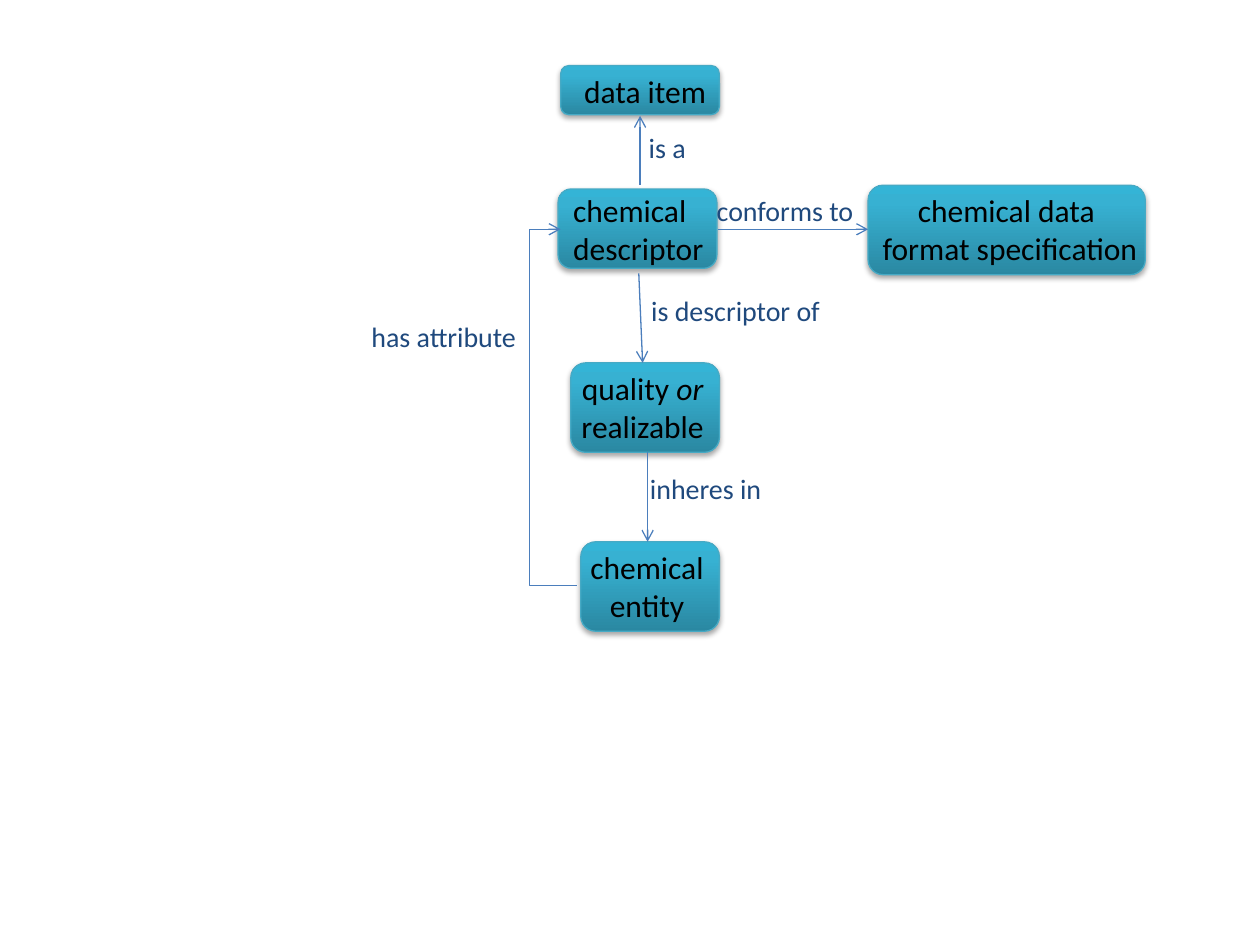
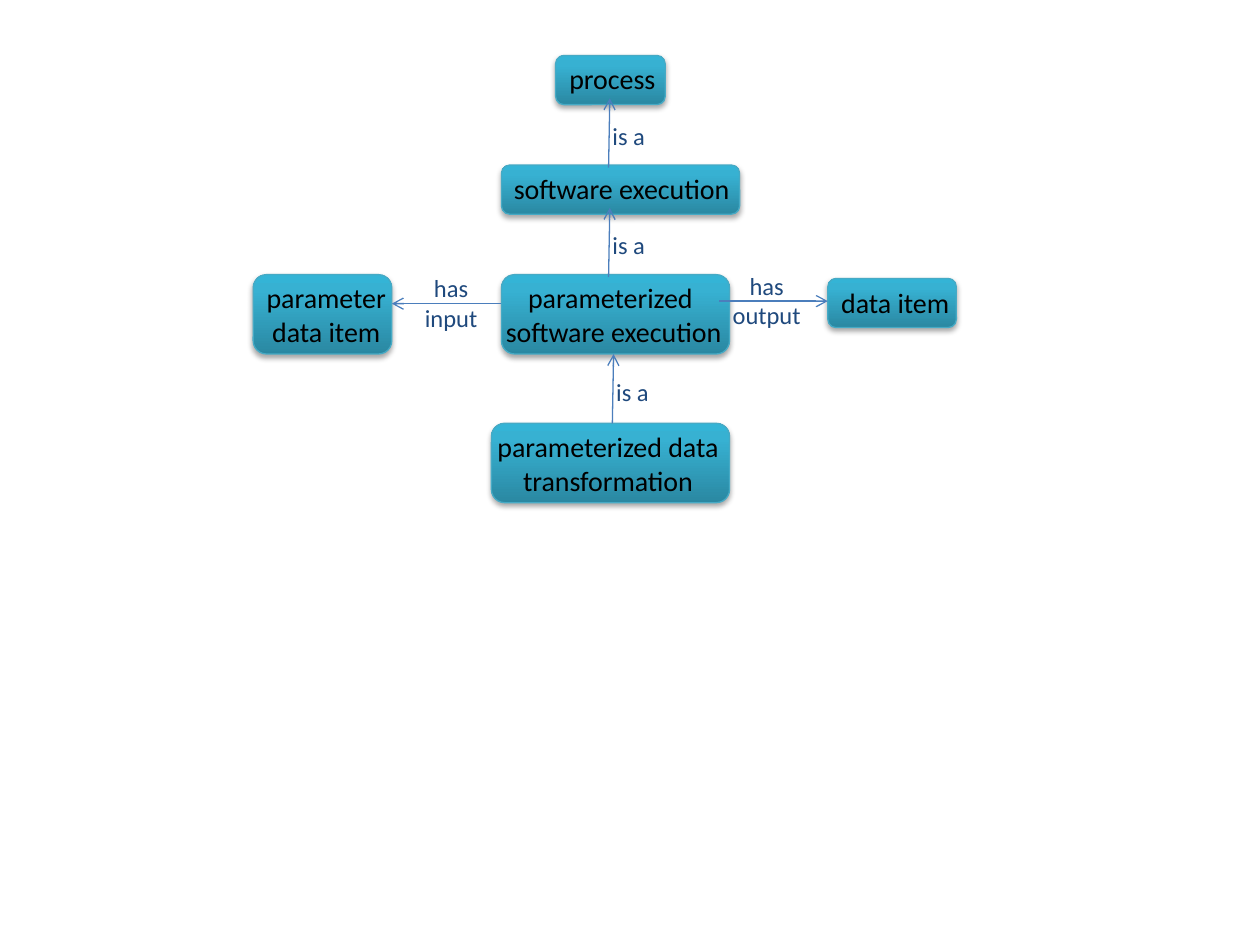
from copy import deepcopy
from dataclasses import dataclass

from lxml.etree import SubElement
from pptx import Presentation
from pptx.dml.color import RGBColor
from pptx.enum.shapes import MSO_CONNECTOR, MSO_SHAPE
from pptx.enum.text import MSO_AUTO_SIZE, PP_ALIGN
from pptx.oxml.ns import qn
from pptx.util import Inches, Pt

LEFT, CENTER = PP_ALIGN.LEFT, PP_ALIGN.CENTER


@dataclass(frozen=True)
class Theme:
    """Colours, font and type sizes of the diagrams."""
    font: str = "Calibri"
    node_text: str = "000000"
    label_text: str = "1F497D"
    border: str = "46AAC5"
    arrow: str = "4B7EBC"
    shadow: str = "000000"
    gradient: tuple = ((0, "2A88A2"), (0.8, "37B1D2"), (1, "34B4D6"))
    line_width: float = 0.75


def apply(obj, values):
    """Set each named attribute of an object."""
    for name, value in values.items():
        setattr(obj, name, value)


class Diagram:
    """Draws boxes, labels and arrows on the current slide."""

    def __init__(self, prs, theme):
        """Keep the presentation and its theme."""
        self.prs, self.theme = prs, theme

    def new_slide(self, node_size, label_size, label_align):
        """Start a blank slide with its type sizes."""
        self.s = self.prs.slides.add_slide(self.prs.slide_layouts[6])
        self.node_size, self.label_size = node_size, label_size
        self.label_align = label_align

    def outline(self, sp, color):
        """Give a shape or connector its thin line."""
        sp.line.color.rgb = RGBColor.from_string(color)
        sp.line.width = Pt(self.theme.line_width)

    def effects(self, sp):
        """Add an empty effect list and return it."""
        return SubElement(sp._element.spPr, qn("a:effectLst"))

    def box(self, at):
        """Draw a rounded box with gradient and soft shadow."""
        sp = self.s.shapes.add_shape(MSO_SHAPE.ROUNDED_RECTANGLE, *map(Inches, at))
        sp.fill.gradient()
        sp.fill.gradient_angle = 90
        stops = sp._element.spPr.find(".//" + qn("a:gsLst"))
        stops.append(deepcopy(stops[-1]))
        for stop, (position, color) in zip(sp.fill.gradient_stops, self.theme.gradient):
            stop.position = position
            stop.color.rgb = RGBColor.from_string(color)
        self.outline(sp, self.theme.border)
        shadow = SubElement(self.effects(sp), qn("a:outerShdw"), blurRad=str(Pt(3.15)),
                            dist=str(Pt(1.8)), dir="5400000", rotWithShape="0")
        color = SubElement(shadow, qn("a:srgbClr"), val=self.theme.shadow)
        SubElement(color, qn("a:alpha"), val="35000")

    def text(self, lines, at, size, color, aligns):
        """Write one paragraph a line, with *stars* around italics."""
        tf = self.s.shapes.add_textbox(*map(Inches, at)).text_frame
        apply(tf, {"word_wrap": False, "auto_size": MSO_AUTO_SIZE.SHAPE_TO_FIT_TEXT})
        for i, (line, align) in enumerate(zip(lines, aligns)):
            p = tf.add_paragraph() if i else tf.paragraphs[0]
            p.alignment = align
            for j, part in enumerate(line.split("*")):
                if part:
                    r = p.add_run()
                    r.text = part
                    apply(r.font, {"name": self.theme.font, "size": Pt(size),
                                   "italic": j % 2 == 1})
                    r.font.color.rgb = RGBColor.from_string(color)

    def node(self, text, box, caption, first=CENTER):
        """Draw a box and its caption."""
        self.box(box)
        self.text(text.split("\n"), caption, self.node_size, self.theme.node_text,
                  (first, CENTER))

    def label(self, text, at):
        """Name a relation beside its arrow."""
        self.text(text.split("\n"), at, self.label_size, self.theme.label_text,
                  (self.label_align,) * 2)

    def arrow(self, start, end, via_x=None):
        """Draw a straight arrow, or a bent one by way of via_x."""
        kind = MSO_CONNECTOR.STRAIGHT if via_x is None else MSO_CONNECTOR.ELBOW
        cxn = self.s.shapes.add_connector(kind, *map(Inches, start + end))
        self.outline(cxn, self.theme.arrow)
        SubElement(cxn.line._get_or_add_ln(), qn("a:tailEnd"), type="arrow")
        self.effects(cxn)
        if via_x is not None:
            bend = round((via_x - start[0]) / (end[0] - start[0]) * 100000)
            guides = cxn._element.spPr.find(".//" + qn("a:avLst"))
            SubElement(guides, qn("a:gd"), name="adj1", fmla=f"val {bend}")


def descriptor_slide(d):
    """Relate a chemical descriptor to its entity."""
    d.new_slide(18, 16, LEFT)
    d.node("chemical\nentity", (4.61, 4.3, 1.1, 0.71), (4.58, 4.3, 1.11, 0.71))
    d.node("quality *or*\nrealizable", (4.53, 2.88, 1.18, 0.71), (4.51, 2.88, 1.18, 0.71))
    d.node("chemical data \nformat specification", (6.89, 1.47, 2.2, 0.71),
           (6.89, 1.47, 2.25, 0.71))
    d.node("data item", (4.45, 0.52, 1.26, 0.39), (4.53, 0.52, 1.18, 0.4))
    d.node("chemical\ndescriptor", (4.43, 1.5, 1.26, 0.63), (4.45, 1.47, 1.25, 0.71), LEFT)
    for text, x, y, width in (("inheres in", 5.06, 3.69, 1.09),
                              ("is descriptor of", 5.07, 2.28, 1.56),
                              ("has attribute", 2.85, 2.49, 1.37),
                              ("conforms to", 5.59, 1.49, 1.3),
                              ("is a", 5.05, 0.99, 0.5)):
        d.label(text, (x, y, width, 0.37))
    d.arrow((4.58, 4.65), (4.45, 1.82), via_x=4.2)
    for start, end in (((5.7, 1.82), (6.89, 1.82)), ((5.07, 2.17), (5.1, 2.88)),
                       ((5.14, 3.59), (5.14, 4.3)), ((5.08, 1.47), (5.08, 0.92))):
        d.arrow(start, end)


def execution_slide(d):
    """Relate a parameterized execution to its data."""
    d.new_slide(16, 14, CENTER)
    d.node("parameterized data\ntransformation", (3.9, 3.36, 1.89, 0.63),
           (3.85, 3.36, 2.03, 0.64), LEFT)
    d.node("parameter\ndata item", (2.01, 2.18, 1.1, 0.63), (2.01, 2.18, 1.16, 0.64))
    d.node("data item", (6.57, 2.21, 1.02, 0.39), (6.57, 2.22, 1.07, 0.37))
    d.node("parameterized \nsoftware execution", (3.98, 2.18, 1.81, 0.63),
           (3.9, 2.18, 1.94, 0.64))
    d.node("software execution", (3.98, 1.31, 1.89, 0.39), (3.98, 1.31, 1.94, 0.37), LEFT)
    d.node("process", (4.41, 0.44, 0.87, 0.39), (4.42, 0.44, 0.9, 0.37), LEFT)
    d.label("has\ninput", (3.27, 2.12, 0.62, 0.57))
    d.arrow((3.98, 2.41), (3.11, 2.41))
    d.label("has\noutput", (5.71, 2.1, 0.75, 0.57))
    d.arrow((5.71, 2.39), (6.57, 2.39))
    for x, y in ((4.86, 3.36), (4.83, 2.2), (4.83, 1.33)):
        d.arrow((x, y), (x + 0.01, y - 0.55))
        d.label("is a", (x - 0.07, y - 0.42, 0.46, 0.34))


def main():
    """Build and save the two slides."""
    prs = Presentation()
    apply(prs, {"slide_width": Inches(10), "slide_height": Inches(7.5)})
    d = Diagram(prs, Theme())
    descriptor_slide(d)
    execution_slide(d)
    prs.save("out.pptx")


if __name__ == "__main__":
    main()
